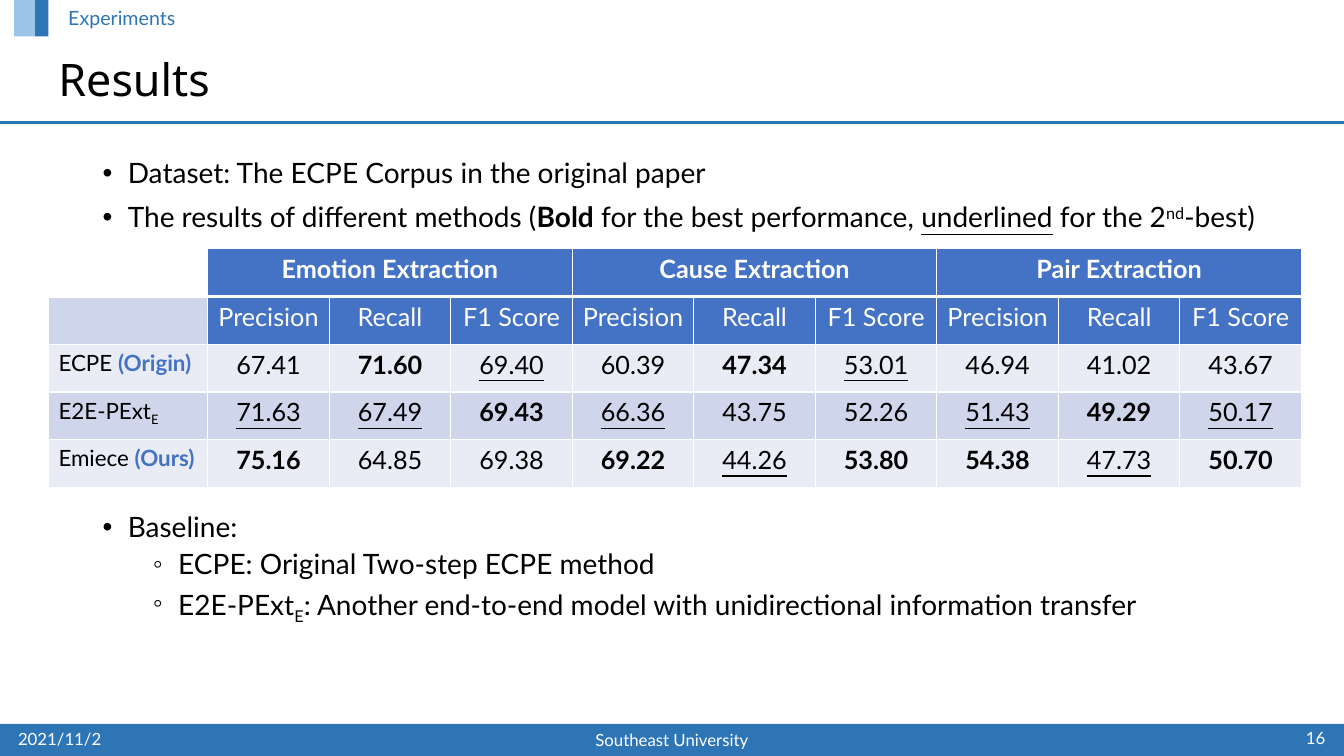
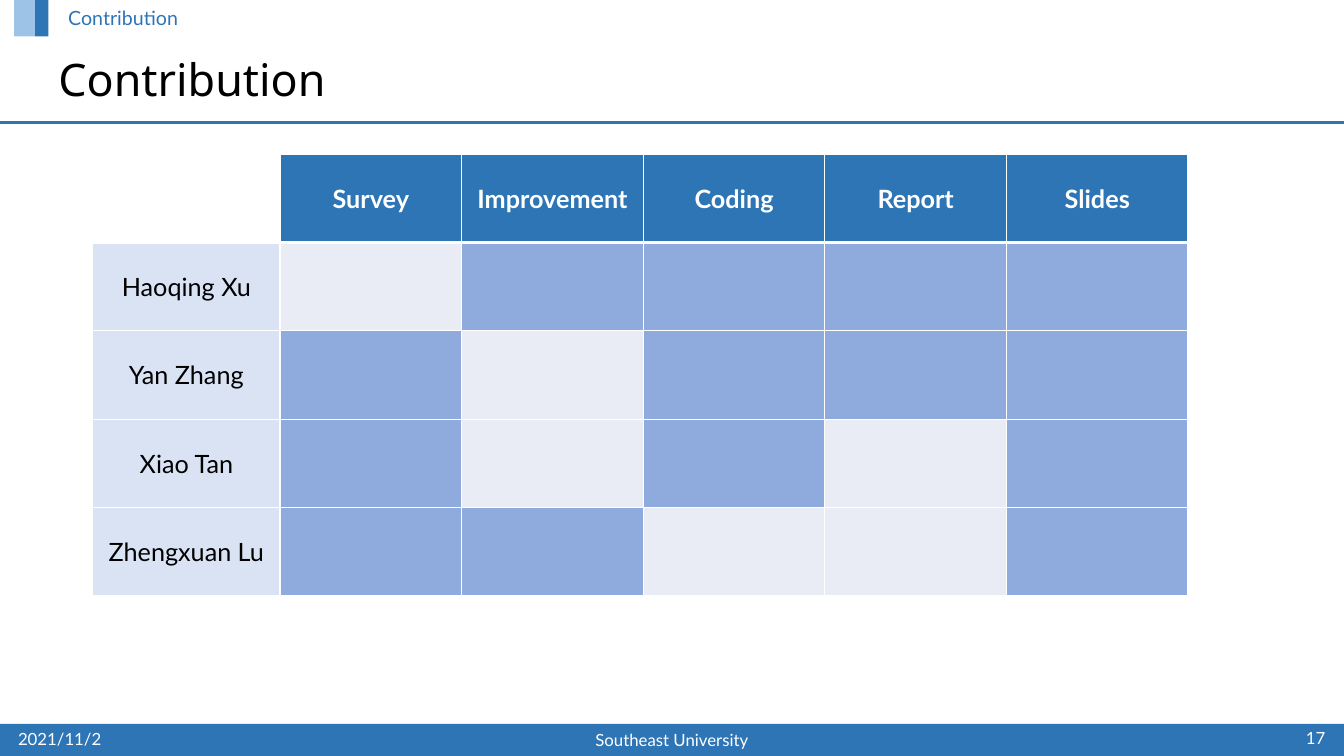
from collections import namedtuple
from dataclasses import dataclass

from lxml import etree
from pptx import Presentation
from pptx import util as u
from pptx.dml.color import RGBColor
from pptx.enum import shapes, text
from pptx.oxml import ns

Box = namedtuple("Box", "left top width height")
ALIGN = text.PP_ALIGN
ANCHOR = text.MSO_ANCHOR


@dataclass(frozen=True)
class Theme:
    """Colours, fonts and type sizes shared by the deck."""
    band: str = "2E75B6"
    band_light: str = "9DC3E6"
    accent: str = "4472C4"
    row_light: str = "E9EBF5"
    row_dark: str = "CFD5EA"
    name_fill: str = "DAE3F3"
    done: str = "8FAADC"
    ink: str = "000000"
    paper: str = "FFFFFF"
    body_font: str = "Lato"
    title_font: str = "Noto Sans"
    title_size: int = 32
    body_size: int = 20
    table_size: int = 18
    label_size: int = 16
    section_size: int = 14
    footer_size: int = 12


THEME = Theme()
BASELINES = {"^": "30000", "_": "-25000"}

RESULT_GROUPS = ["Emotion Extraction", "Cause Extraction", "Pair Extraction"]
MEASURES = ["Precision", "Recall", "F1 Score"]
RESULTS = [
    ([("ECPE ", ""), ("(Origin)", "ab")],
     "67.41 71.60b 69.40u 60.39 47.34b 53.01u 46.94 41.02 43.67"),
    ([("E2E-PExt", ""), ("E", "_")],
     "71.63u 67.49u 69.43b 66.36u 43.75 52.26 51.43u 49.29b 50.17u"),
    ([("Emiece ", ""), ("(Ours)", "ab")],
     "75.16b 64.85 69.38 69.22b 44.26u 53.80b 54.38b 47.73u 50.70b"),
]
INTRO = [
    (0, [("Dataset: The ECPE Corpus in the original paper", "")]),
    (0, [("The results of different methods (", ""), ("Bold", "b"),
         (" for the best performance, ", ""), ("underlined", "u"),
         (" for the 2", ""), ("nd", "^"), ("-best)", "")]),
]
BASELINE = [
    (0, [("Baseline:", "")]),
    (1, [("ECPE: Original Two-step ECPE method", "")]),
    (1, [("E2E-PExt", ""), ("E", "_"),
         (": Another end-to-end model with unidirectional information transfer", "")]),
]
TASKS = ["Survey", "Improvement", "Coding", "Report", "Slides"]
MEMBERS = {
    "Haoqing Xu": [0, 1, 1, 1, 1],
    "Yan Zhang": [1, 0, 1, 1, 1],
    "Xiao Tan": [1, 0, 1, 0, 1],
    "Zhengxuan Lu": [1, 1, 0, 0, 1],
}


def rgb(color):
    """Turn a hex string into a colour."""
    return RGBColor.from_string(color)


def points(box):
    """Turn a box in points into lengths."""
    return [u.Pt(value) for value in box]


def write(para, spans, size, color=THEME.ink, font=THEME.body_font, align=ALIGN.LEFT):
    """Write spans of (words, marks); b bold, u underline, a accent, ^ and _ shift."""
    para.alignment = align
    for words, marks in spans:
        span = para.add_run()
        span.text = words
        span.font.name = font
        span.font.size = u.Pt(size)
        span.font.bold = "b" in marks
        span.font.underline = "u" in marks
        span.font.color.rgb = rgb(THEME.accent if "a" in marks else color)
        for mark in set(marks) & set(BASELINES):
            span._r.get_or_add_rPr().set("baseline", BASELINES[mark])


def add_frame(page, box, anchor=ANCHOR.TOP):
    """Add a wrapping text box and return its frame."""
    frame = page.shapes.add_textbox(*points(box)).text_frame
    frame.word_wrap = True
    frame.vertical_anchor = anchor
    return frame


def add_line_of_text(page, box, words, size, color, anchor=ANCHOR.MIDDLE, **style):
    """Add a text box with one paragraph."""
    para = add_frame(page, box, anchor).paragraphs[0]
    para.line_spacing = 0.9 if size > THEME.footer_size else 1.0
    write(para, [(words, "")], size, color, **style)


def add_block(page, box, color):
    """Add a plain filled rectangle."""
    block = page.shapes.add_shape(shapes.MSO_SHAPE.RECTANGLE, *points(box))
    block.shadow.inherit = False
    block.fill.solid()
    block.fill.fore_color.rgb = rgb(color)
    block.line.fill.background()


def add_header(page, box, section, title):
    """Add the tab, section name, title and rule."""
    add_block(page, Box(box.left + 25, box.top, 9.5, 26), THEME.band)
    add_block(page, Box(box.left + 10, box.top, 15, 26), THEME.band_light)
    bottom = box.top + box.height
    rule = page.shapes.add_connector(
        shapes.MSO_CONNECTOR.STRAIGHT,
        *points((box.left, bottom, box.left + box.width, bottom)))
    rule.line.color.rgb = rgb(THEME.band)
    rule.line.width = u.Pt(2.25)
    etree.SubElement(rule._element.spPr, ns.qn("a:effectLst"))
    add_line_of_text(page, Box(box.left + 41.6, box.top + 2.7, 350, 22.5), section,
                     THEME.section_size, THEME.band, ANCHOR.TOP)
    add_line_of_text(page, Box(box.left + 34.6, box.top + 37.4, 680, 43), title,
                     THEME.title_size, THEME.ink, font=THEME.title_font)


def add_footer(page, box, number):
    """Add the bottom band with date, affiliation and slide number."""
    add_block(page, box, THEME.band)
    parts = [
        (5.8, 0, 216, 22, "2021/11/2", ALIGN.LEFT),
        (318, 0, 324, 22.5, "Southeast University", ALIGN.CENTER),
        (905.8, -2, 48, 24.5, str(number), ALIGN.RIGHT),
    ]
    for left, top, width, height, words, align in parts:
        add_line_of_text(page, Box(box.left + left, box.top + top, width, height),
                         words, THEME.footer_size, THEME.paper, align=align)


def add_bullets(page, box, items):
    """Add a two-level bulleted list."""
    frame = add_frame(page, box)
    for index, (level, spans) in enumerate(items):
        para = frame.add_paragraph() if index else frame.paragraphs[0]
        para.level = level
        para.line_spacing = 0.9
        para.space_before = u.Pt(5 if level else 10)
        props = para._p.get_or_add_pPr()
        props.set("marL", str(u.Pt(54 if level else 18)))
        props.set("indent", str(u.Pt(-18)))
        bullet_font = etree.SubElement(props, ns.qn("a:buFont"))
        bullet_font.set("typeface", "Arial")
        etree.SubElement(props, ns.qn("a:buChar")).set("char", "◦" if level else "•")
        write(para, spans, THEME.body_size)


def set_borders(cell, top, bottom):
    """Draw white borders around a cell."""
    props = cell._tc.get_or_add_tcPr()
    widths = {"lnL": 1, "lnR": 1, "lnT": top, "lnB": bottom}
    for index, (side, width) in enumerate(widths.items()):
        edge = etree.Element(ns.qn("a:" + side), w=str(u.Pt(width)))
        fill = etree.SubElement(edge, ns.qn("a:solidFill"))
        etree.SubElement(fill, ns.qn("a:srgbClr")).set("val", THEME.paper)
        props.insert(index, edge)


def add_grid(page, box, row_count, column_count, first_width):
    """Add a table with a label column, equal other columns and white borders."""
    table = page.shapes.add_table(row_count, column_count, *points(box)).table
    table.first_row = table.horz_banding = False
    other_width = (box.width - first_width) / (column_count - 1)
    for index, column in enumerate(table.columns):
        column.width = u.Pt(other_width if index else first_width)
    for index, row in enumerate(table.rows):
        row.height = u.Pt(box.height / row_count)
        for cell in row.cells:
            set_borders(cell, 3 if index == 1 else 1, 1 if index else 3)
    return table


def fill_cell(cell, fill, spans=(), size=THEME.table_size, color=THEME.ink,
              align=ALIGN.CENTER, anchor=ANCHOR.TOP):
    """Colour a cell and write its spans."""
    cell.fill.solid()
    cell.fill.fore_color.rgb = rgb(fill)
    cell.vertical_anchor = anchor
    write(cell.text_frame.paragraphs[0], spans, size, color, align=align)


def add_results_table(page, box):
    """Add the score table with grouped column heads."""
    span = len(MEASURES)
    count = span * len(RESULT_GROUPS)
    table = add_grid(page, box, len(RESULTS) + 2, count + 1, 113.8)
    fill_cell(table.cell(0, 0), THEME.paper)
    fill_cell(table.cell(1, 0), THEME.row_dark)
    for index, group in enumerate(RESULT_GROUPS):
        first = 1 + index * span
        head = table.cell(0, first)
        head.merge(table.cell(0, first + span - 1))
        fill_cell(head, THEME.accent, [(group, "b")], color=THEME.paper)
        for offset, measure in enumerate(MEASURES):
            fill_cell(table.cell(1, first + offset), THEME.accent, [(measure, "")],
                      color=THEME.paper)
    for row, (label, scores) in enumerate(RESULTS, 2):
        fill = THEME.row_dark if row % 2 else THEME.row_light
        fill_cell(table.cell(row, 0), fill, label, THEME.label_size, align=ALIGN.LEFT)
        for column, score in enumerate(scores.split(), 1):
            value = score.rstrip("bu")
            fill_cell(table.cell(row, column), fill, [(value, score[len(value):])])


def add_contribution_table(page, box):
    """Add the matrix of members and tasks."""
    table = add_grid(page, box, len(MEMBERS) + 1, len(TASKS) + 1, 133.9)
    fill_cell(table.cell(0, 0), THEME.paper)
    for column, task in enumerate(TASKS, 1):
        fill_cell(table.cell(0, column), THEME.band, [(task, "b")],
                  color=THEME.paper, anchor=ANCHOR.MIDDLE)
    for row, (member, shares) in enumerate(MEMBERS.items(), 1):
        fill_cell(table.cell(row, 0), THEME.name_fill, [(member, "")],
                  anchor=ANCHOR.MIDDLE)
        for column, share in enumerate(shares, 1):
            fill_cell(table.cell(row, column), THEME.done if share else THEME.row_light)


def add_page(deck, section, title, number):
    """Add a blank slide with header and footer."""
    page = deck.slides.add_slide(deck.slide_layouts[6])
    add_header(page, Box(0, 0, 960, 87.8), section, title)
    add_footer(page, Box(0, 517, 960, 23), number)
    return page


def main():
    """Build and save the deck."""
    deck = Presentation()
    deck.slide_width, deck.slide_height = u.Pt(960), u.Pt(540)
    results = add_page(deck, "Experiments", "Results", 16)
    add_bullets(results, Box(66.2, 110.2, 852, 62), INTRO)
    add_results_table(results, Box(34.6, 177.8, 895, 170.5))
    add_bullets(results, Box(66.2, 363, 852, 90), BASELINE)
    contribution = add_page(deck, "Contribution", "Contribution", 17)
    add_contribution_table(contribution, Box(66.2, 110.2, 782.6, 315.4))
    deck.save("out.pptx")


if __name__ == "__main__":
    main()
